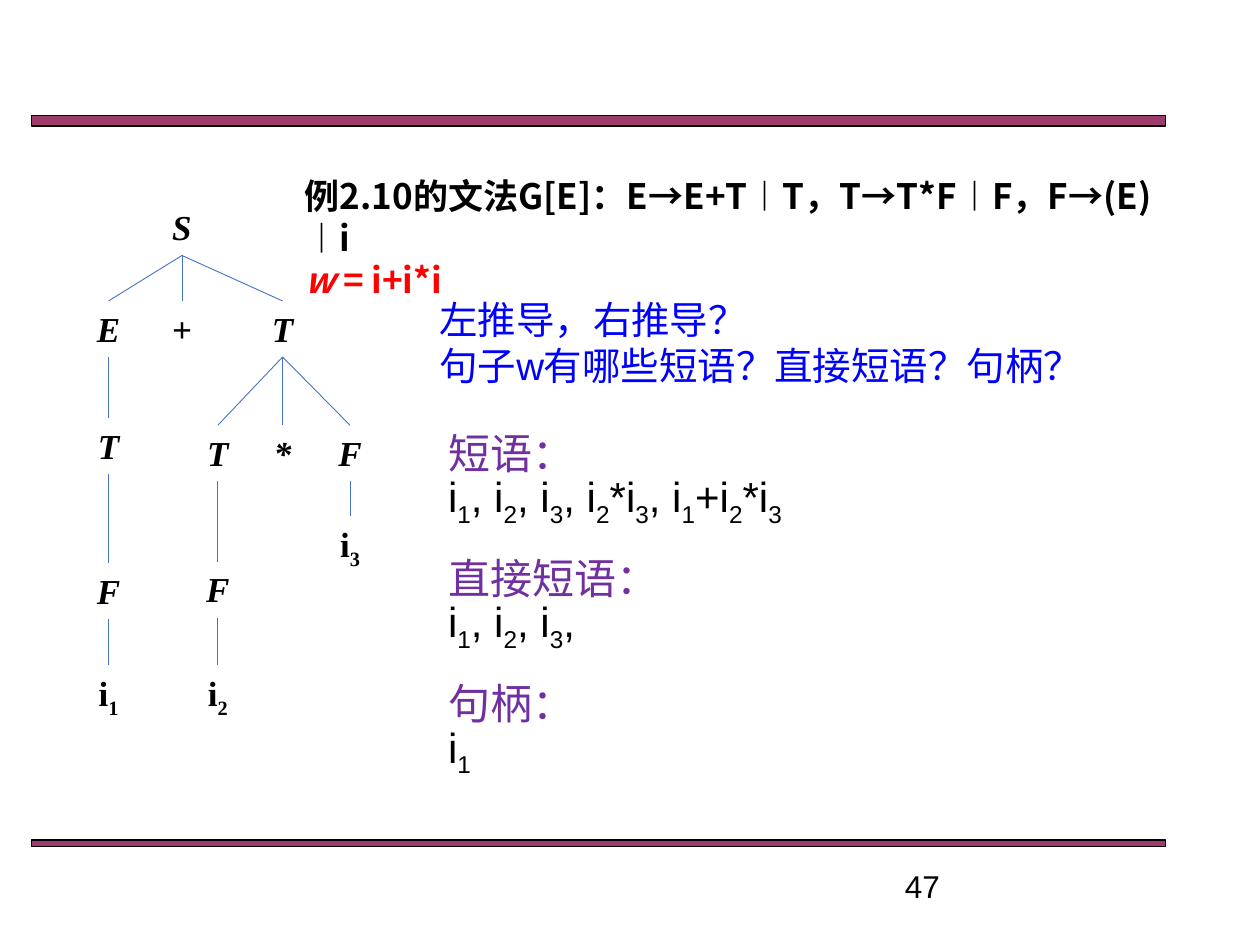
from lxml import etree
from pptx import Presentation
from pptx.dml.color import RGBColor
from pptx.enum.shapes import MSO_CONNECTOR, MSO_SHAPE
from pptx.enum.text import MSO_ANCHOR, MSO_AUTO_SIZE, PP_ALIGN
from pptx.oxml.ns import qn
from pptx.util import Pt

COLORS = {
    "bar": "993366",
    "ink": "000000",
    "branch": "4472C4",
    "sentence": "FF0000",
    "question": "0000FF",
    "answer": "7030A0",
}
SANS, SERIF, HAN = "Arial", "Times New Roman", "Noto Sans CJK SC"
LABEL_HEIGHT = 32


def rgb(name):
    return RGBColor.from_string(COLORS[name])


def style_run(run, size, color, face, bold=False, italic=False):
    font = run.font
    font.size, font.name = Pt(size), face
    font.bold, font.italic = bold, italic
    font.color.rgb = rgb(color)
    if face != SERIF:
        latin = run._r.rPr.find(qn("a:latin"))
        east_asian = etree.Element(qn("a:ea"), typeface=HAN)
        latin.addnext(east_asian)


def add_indexed_text(paragraph, text, **style):
    base, *indexed = text.split("_")
    pieces = [(base, False)]
    for piece in indexed:
        pieces += [(piece[0], True), (piece[1:], False)]
    for piece, is_index in pieces:
        if piece:
            run = paragraph.add_run()
            run.text = piece
            style_run(run, **style)
            if is_index:
                run._r.rPr.set("baseline", "-25000")


def prepare_frame(frame, wrap=True):
    frame.word_wrap = wrap
    frame.auto_size = MSO_AUTO_SIZE.NONE
    frame.vertical_anchor = MSO_ANCHOR.TOP
    frame.margin_left = frame.margin_right = Pt(7.2)
    frame.margin_top = frame.margin_bottom = Pt(3.6)
    return frame


def add_frame(slide, box, wrap=True):
    return prepare_frame(slide.shapes.add_textbox(*map(Pt, box)).text_frame, wrap)


def add_bar(slide, box):
    bar = slide.shapes.add_shape(MSO_SHAPE.RECTANGLE, *map(Pt, box))
    bar.shadow.inherit = False
    bar.fill.solid()
    bar.fill.fore_color.rgb = rgb("bar")
    fill_color = bar._element.spPr.find(qn("a:solidFill"))[0]
    etree.SubElement(fill_color, qn("a:alpha"), val="96000")
    bar.line.color.rgb = rgb("ink")
    bar.line.width = Pt(0.75)


def add_page_number(slide, box, number):
    frame = add_frame(slide, box)
    frame.text = number
    style_run(frame.paragraphs[0].runs[0], 18, "ink", SANS)


def add_grammar(slide, box):
    heading = slide.shapes.title
    heading.left, heading.top, heading.width, heading.height = map(Pt, box)
    frame = prepare_frame(heading.text_frame)
    frame.text = "例2.10的文法G[E]：E→E+T︱T，T→T*F︱F，F→(E)︱i\nw = i+i*i"
    rules, sentence = frame.paragraphs
    for paragraph in frame.paragraphs:
        paragraph.alignment = PP_ALIGN.LEFT
        paragraph.line_spacing = Pt(24)
        paragraph.space_before = Pt(0)
    style_run(rules.runs[0], 20, "ink", HAN, bold=True)
    sentence.runs[0].text = "w"
    style_run(sentence.runs[0], 20, "sentence", HAN, bold=True, italic=True)
    value = sentence.add_run()
    value.text = " = i+i*i"
    style_run(value, 20, "sentence", HAN, bold=True)


def add_questions(slide, box):
    frame = add_frame(slide, box)
    frame.text = "左推导，右推导？\n句子w有哪些短语？直接短语？句柄？"
    for paragraph in frame.paragraphs:
        paragraph.line_spacing = Pt(26.4)
        style_run(paragraph.runs[0], 22, "question", SANS)


def add_answer(slide, box, term, phrases):
    frame = add_frame(slide, box, wrap=False)
    frame.text = term
    heading, listing = frame.paragraphs[0], frame.add_paragraph()
    style_run(heading.runs[0], 24, "answer", SANS)
    add_indexed_text(listing, phrases, size=24, color="ink", face=SANS)
    for paragraph in (heading, listing):
        paragraph.line_spacing = Pt(28.8)


def add_branch(slide, start, end):
    branch = slide.shapes.add_connector(MSO_CONNECTOR.STRAIGHT, *map(Pt, start + end))
    branch.line.color.rgb = rgb("branch")
    branch.line.width = Pt(0.5)
    etree.SubElement(branch._element.spPr, qn("a:effectLst"))


def add_node(slide, origin, node, parent_foot=None):
    symbol, center, top, children = node
    x, y = origin[0] + center, origin[1] + top
    if parent_foot:
        add_branch(slide, parent_foot, (x, y))
    frame = add_frame(slide, (x - 20, y, 40, LABEL_HEIGHT), wrap=False)
    label = frame.paragraphs[0]
    label.alignment = PP_ALIGN.CENTER
    add_indexed_text(label, symbol, size=20, color="ink", face=SERIF,
                     bold=True, italic="_" not in symbol)
    for child in children:
        add_node(slide, origin, child, (x, y + LABEL_HEIGHT))


def add_syntax_tree(slide, origin):
    first = ("T", 14, 125, [("F", 14, 208, [("i_1", 14, 266, [])])])
    second = ("T", 76.5, 129, [("F", 76.5, 207, [("i_2", 76.5, 266, [])])])
    third = ("F", 152, 129, [("i_3", 152, 181, [])])
    product = ("T", 113.5, 58, [second, ("*", 113.5, 129, []), third])
    root = ("S", 56, 0, [("E", 14, 58, [first]), ("+", 56, 58, []), product])
    add_node(slide, origin, root)


def main():
    deck = Presentation()
    deck.slide_width, deck.slide_height = Pt(720), Pt(540)
    slide = deck.slides.add_slide(deck.slide_layouts[5])
    add_bar(slide, (18, 66, 648, 6))
    add_bar(slide, (18, 480, 648, 3.6))
    add_page_number(slide, (510, 492, 168, 20), "47")
    add_syntax_tree(slide, (48, 114))
    add_grammar(slide, (167, 96, 510.5, 80))
    add_questions(slide, (244, 165.6, 414, 60.5))
    answers = [
        ("短语：", "i_1, i_2, i_3, i_2*i_3, i_1+i_2*i_3"),
        ("直接短语：", "i_1, i_2, i_3,"),
        ("句柄：", "i_1"),
    ]
    for index, (term, phrases) in enumerate(answers):
        add_answer(slide, (249, 240.5 + 71.6 * index, 216, 65.5), term, phrases)
    deck.save("out.pptx")


if __name__ == "__main__":
    main()
